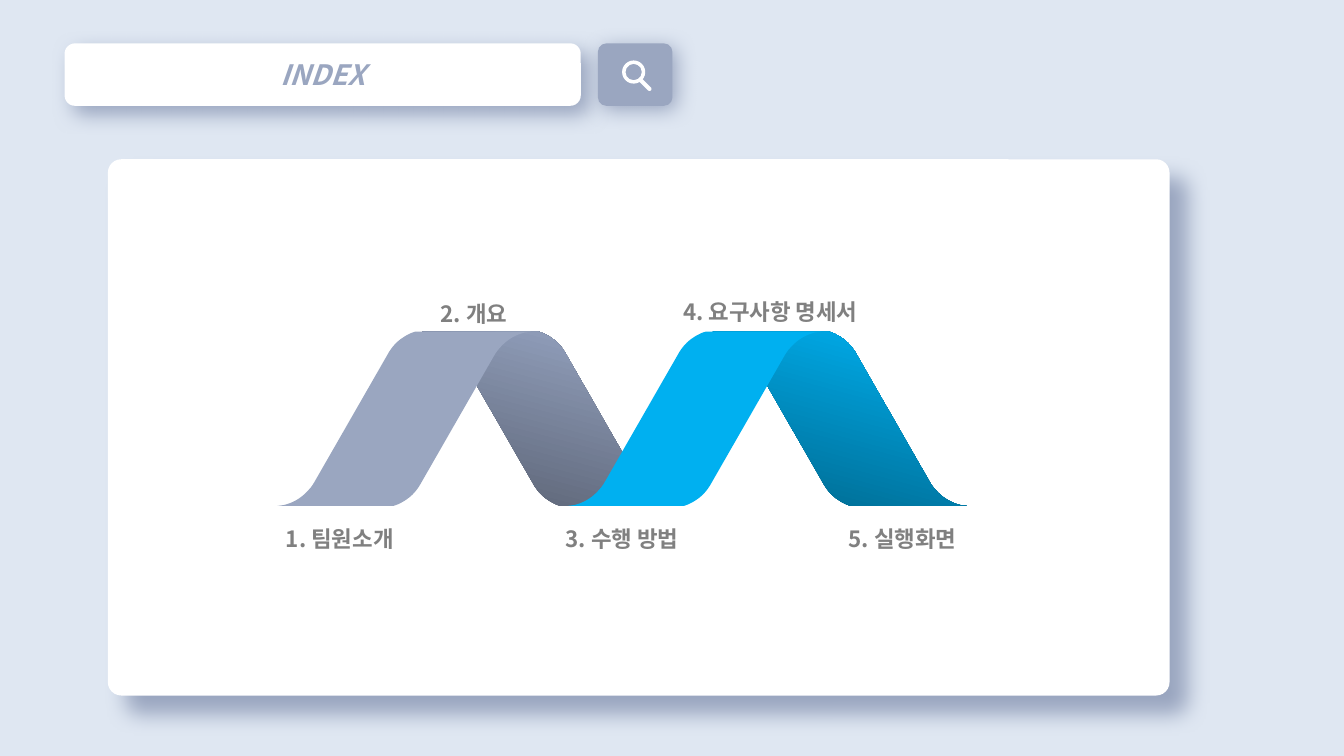
from dataclasses import dataclass
from typing import NamedTuple

from lxml import etree
from pptx import Presentation
from pptx.dml import color as dml
from pptx.enum import shapes, text
from pptx.oxml import ns
from pptx.util import Inches, Pt


@dataclass(frozen=True)
class Theme:
    font: str = "Noto Sans CJK KR"
    backdrop: str = "DFE7F2"
    paper: str = "FFFFFF"
    slate: str = "9AA6C0"
    sky: str = "00B0F0"
    label: str = "808080"
    slate_fold: tuple[str, str] = ("5A6273", "97A5C3")
    sky_fold: tuple[str, str] = ("00688E", "00B0F0")
    title_size: int = 20
    label_size: int = 16
    shadow_blur: int = 15


class Panel(NamedTuple):
    preset: shapes.MSO_SHAPE
    box: tuple[float, float, float, float]
    corner: float
    fill: str
    shadow: int = 0
    rotation: int = 0
    title: str = ""


class Ribbon(NamedTuple):
    step: int
    rising: bool
    fill: str = ""
    fold: tuple[str, str] = ("", "")


class Label(NamedTuple):
    left: float
    top: float
    caption: str


Point = tuple[float, float]

THEME = Theme()
RIBBON_LEFT, RIBBON_TOP, RIBBON_STEP = 2.75, 3.29, 1.44
RIBBON_WIDTH, RIBBON_HEIGHT = 2.52, 1.73
FOLD_ANGLE = 75
UNITS_PER_INCH = 1000
CURVE_STEPS = 12
LABEL_WIDTH, LABEL_HEIGHT = 2.8, 0.45

ROUNDED = shapes.MSO_SHAPE.ROUNDED_RECTANGLE
PANELS = [
    Panel(ROUNDED, (1.07, 1.58, 10.53, 5.32), 0.025, THEME.paper, 19),
    Panel(ROUNDED, (0.64, 0.43, 5.12, 0.62), 0.167, THEME.paper, 8, title="INDEX"),
    Panel(ROUNDED, (5.93, 0.43, 0.74, 0.62), 0.138, THEME.slate, 4),
    Panel(shapes.MSO_SHAPE.DONUT, (6.17, 0.6, 0.23, 0.23), 0.148, THEME.paper),
    Panel(ROUNDED, (6.38, 0.76, 0.04, 0.16), 0.5, THEME.paper, rotation=315),
]
RIBBONS = [
    Ribbon(1, False, fold=THEME.slate_fold),
    Ribbon(0, True, fill=THEME.slate),
    Ribbon(3, False, fold=THEME.sky_fold),
    Ribbon(2, True, fill=THEME.sky),
]
LABELS = [
    Label(1.97, 5.03, "1. 팀원소개"),
    Label(4.77, 5.03, "3. 수행 방법"),
    Label(3.3, 2.79, "2. 개요"),
    Label(6.24, 2.78, "4. 요구사항 명세서"),
    Label(7.55, 5.03, "5. 실행화면"),
]


def rgb(value: str) -> dml.RGBColor:
    return dml.RGBColor.from_string(value)


def paint(shape, fill: str) -> None:
    shape.shadow.inherit = False
    shape.line.fill.background()
    if fill:
        shape.fill.solid()
        shape.fill.fore_color.rgb = rgb(fill)


def cast_shadow(shape, distance: int) -> None:
    effects = shape._element.spPr.find(ns.qn("a:effectLst"))
    shadow = etree.SubElement(
        effects, ns.qn("a:outerShdw"), blurRad=str(Pt(THEME.shadow_blur)),
        dist=str(Pt(distance)), dir=str(45 * 60000), algn="tl", rotWithShape="0",
    )
    etree.SubElement(shadow, ns.qn("a:srgbClr"), val=THEME.slate)


def write(frame, words: str, size: int, color: str, italic: bool = False) -> None:
    paragraph = frame.paragraphs[0]
    paragraph.alignment = text.PP_ALIGN.CENTER
    run = paragraph.add_run()
    run.text = words
    formats = {"name": THEME.font, "size": Pt(size), "bold": True, "italic": italic}
    for attribute, value in formats.items():
        setattr(run.font, attribute, value)
    run.font.color.rgb = rgb(color)
    etree.SubElement(run._r.get_or_add_rPr(), ns.qn("a:ea"), typeface=THEME.font)


def draw_panel(slide, panel: Panel) -> None:
    shape = slide.shapes.add_shape(panel.preset, *map(Inches, panel.box))
    shape.adjustments[0] = panel.corner
    shape.rotation = panel.rotation
    paint(shape, panel.fill)
    if panel.shadow:
        cast_shadow(shape, panel.shadow)
    if panel.title:
        shape.text_frame.vertical_anchor = text.MSO_ANCHOR.MIDDLE
        write(shape.text_frame, panel.title, THEME.title_size, THEME.slate, italic=True)


def bezier(*controls: Point) -> list[Point]:
    points = []
    for step in range(CURVE_STEPS + 1):
        t = step / CURVE_STEPS
        weights = ((1 - t) ** 3, 3 * t * (1 - t) ** 2, 3 * t * t * (1 - t), t ** 3)
        x, y = (sum(w * c[axis] for w, c in zip(weights, controls)) for axis in (0, 1))
        points.append((x, y))
    return points


def ribbon_outline() -> list[Point]:
    edge = [
        (0, 0),
        *bezier((1.15, 0), (1.25, 0.03), (1.35, 0.1), (1.41, 0.2)),
        *bezier((2.15, 1.49), (2.22, 1.61), (2.33, 1.69), (2.45, 1.72)),
    ]
    return edge + [(RIBBON_WIDTH - x, RIBBON_HEIGHT - y) for x, y in edge]


def draw_ribbon(slide, ribbon: Ribbon) -> None:
    left = RIBBON_LEFT + ribbon.step * RIBBON_STEP
    outline = [
        (
            round((left + (RIBBON_WIDTH - x if ribbon.rising else x)) * UNITS_PER_INCH),
            round((RIBBON_TOP + y) * UNITS_PER_INCH),
        )
        for x, y in ribbon_outline()
    ]
    builder = slide.shapes.build_freeform(*outline[0], scale=Inches(1) / UNITS_PER_INCH)
    builder.add_line_segments(outline[1:], close=True)
    shape = builder.convert_to_shape()
    paint(shape, ribbon.fill)
    if not ribbon.fill:
        shape.fill.gradient()
        shape.fill.gradient_angle = FOLD_ANGLE
        for stop, position, shade in zip(shape.fill.gradient_stops, (0, 1), ribbon.fold):
            stop.position = position
            stop.color.rgb = rgb(shade)


def draw_label(slide, label: Label) -> None:
    box = (label.left, label.top, LABEL_WIDTH, LABEL_HEIGHT)
    frame = slide.shapes.add_textbox(*map(Inches, box)).text_frame
    formats = {"word_wrap": True, "auto_size": text.MSO_AUTO_SIZE.SHAPE_TO_FIT_TEXT}
    for attribute, value in formats.items():
        setattr(frame, attribute, value)
    frame.paragraphs[0].line_spacing = 1.5
    write(frame, label.caption, THEME.label_size, THEME.label)


def main() -> None:
    deck = Presentation()
    deck.slide_width, deck.slide_height = Inches(13.33), Inches(7.5)
    slide = deck.slides.add_slide(deck.slide_layouts[6])
    slide.background.fill.solid()
    slide.background.fill.fore_color.rgb = rgb(THEME.backdrop)
    for panel in PANELS:
        draw_panel(slide, panel)
    for ribbon in RIBBONS:
        draw_ribbon(slide, ribbon)
    for label in LABELS:
        draw_label(slide, label)
    deck.save("out.pptx")


if __name__ == "__main__":
    main()
